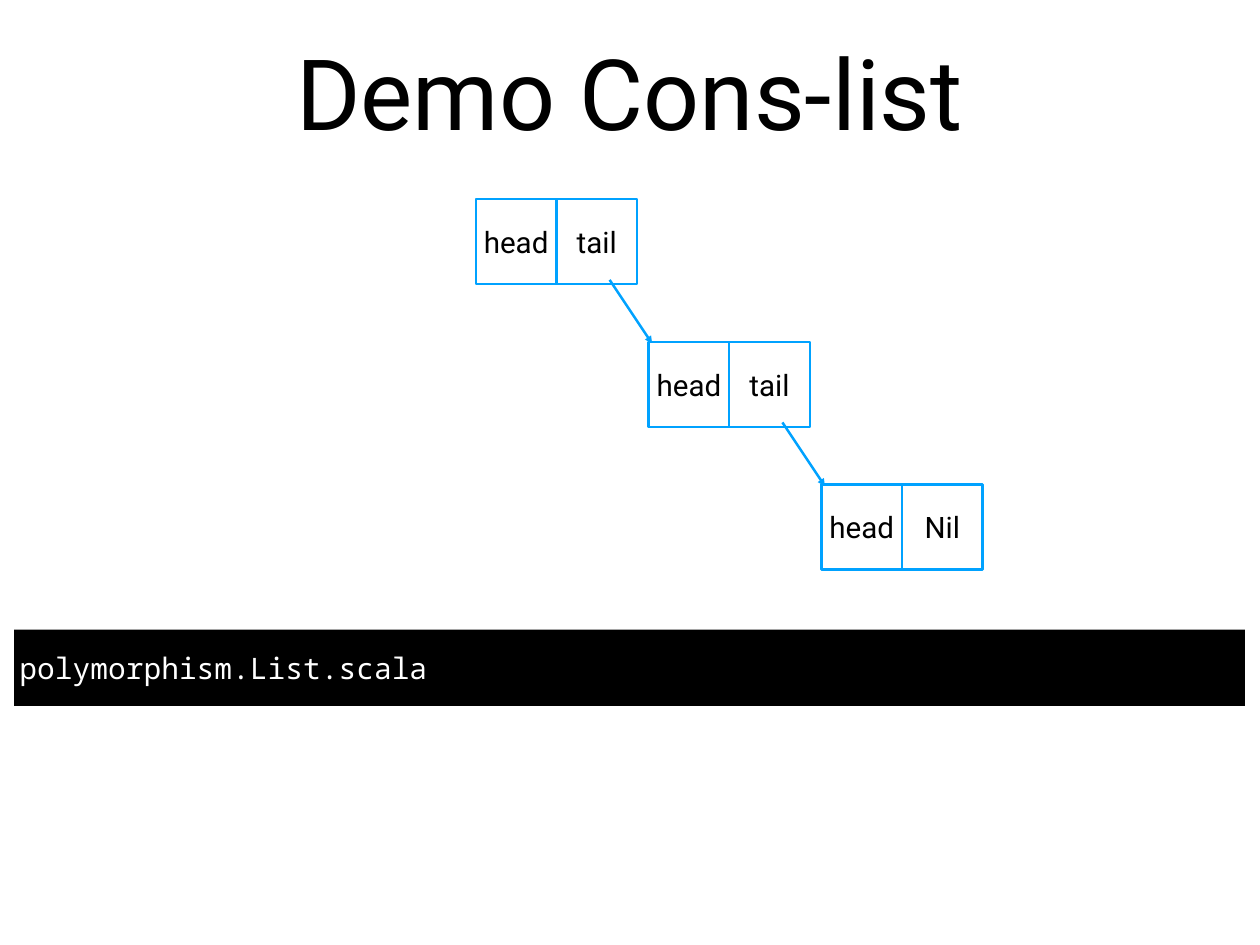
"""Build the slide that shows a cons-list as linked head and tail cells."""
import dataclasses

import lxml.etree
import pptx
import pptx.dml.color
import pptx.enum.shapes
import pptx.enum.text
import pptx.oxml.ns
import pptx.shapes.base
import pptx.slide
import pptx.util

Inches = pptx.util.Inches
RGBColor = pptx.dml.color.RGBColor
Align = pptx.enum.text.PP_ALIGN

BLACK = RGBColor(0x00, 0x00, 0x00)
WHITE = RGBColor(0xFF, 0xFF, 0xFF)
BLUE = RGBColor(0x00, 0xA2, 0xFF)

CELL_WIDTH, CELL_HEIGHT = 0.91, 0.96
FIRST_LEFT, FIRST_TOP = 5.37, 2.25
STEP_RIGHT, STEP_DOWN = 1.95, 1.61
LINE_WIDTH = 2


@dataclasses.dataclass(frozen=True)
class TextStyle:
    font: str
    size: int
    color: RGBColor
    alignment: Align


@dataclasses.dataclass(frozen=True)
class Box:
    left: float
    top: float
    width: float
    height: float


@dataclasses.dataclass(frozen=True)
class Node:
    head: str
    tail: str
    linked: bool


TITLE_STYLE = TextStyle("Roboto", 80, BLACK, Align.CENTER)
CELL_STYLE = TextStyle("Roboto", 24, BLACK, Align.CENTER)
CODE_STYLE = TextStyle("Noto Sans Mono", 24, WHITE, Align.LEFT)
NODES = (
    Node("head", "tail", True),
    Node("head", "tail", True),
    Node("head", "Nil", False),
)


def write_text(shape: pptx.shapes.base.BaseShape, text: str, style: TextStyle) -> None:
    frame = shape.text_frame
    frame.word_wrap = True
    frame.vertical_anchor = pptx.enum.text.MSO_ANCHOR.MIDDLE
    frame.margin_left = frame.margin_right = Inches(0.06)
    frame.margin_top = frame.margin_bottom = Inches(0.06)
    paragraph = frame.paragraphs[0]
    paragraph.alignment = style.alignment
    run = paragraph.add_run()
    run.text = text
    run.font.name = style.font
    run.font.size = pptx.util.Pt(style.size)
    run.font.color.rgb = style.color


def add_title(slide: pptx.slide.Slide, box: Box, text: str) -> None:
    title = slide.shapes.add_textbox(
        Inches(box.left), Inches(box.top), Inches(box.width), Inches(box.height)
    )
    write_text(title, text, TITLE_STYLE)


def add_rectangle(
    slide: pptx.slide.Slide,
    box: Box,
    text: str,
    style: TextStyle,
    fill: RGBColor,
    outline: RGBColor | None = None,
) -> None:
    shape = slide.shapes.add_shape(
        pptx.enum.shapes.MSO_SHAPE.RECTANGLE,
        Inches(box.left), Inches(box.top), Inches(box.width), Inches(box.height),
    )
    shape.shadow.inherit = False
    shape.fill.solid()
    shape.fill.fore_color.rgb = fill
    if outline is None:
        shape.line.fill.background()
    else:
        shape.line.color.rgb = outline
        shape.line.width = pptx.util.Pt(LINE_WIDTH)
    write_text(shape, text, style)


def add_arrow(slide: pptx.slide.Slide, left: float, top: float) -> None:
    arrow = slide.shapes.add_connector(
        pptx.enum.shapes.MSO_CONNECTOR.STRAIGHT,
        Inches(left + 1.51), Inches(top + 0.91),
        Inches(left + 1.99), Inches(top + 1.63),
    )
    arrow.line.color.rgb = BLUE
    arrow.line.width = pptx.util.Pt(LINE_WIDTH)
    qualified = pptx.oxml.ns.qn
    line = arrow.line._get_or_add_ln()
    lxml.etree.SubElement(line, qualified("a:tailEnd"), type="triangle")
    lxml.etree.SubElement(arrow._element.spPr, qualified("a:effectLst"))


def add_node(slide: pptx.slide.Slide, node: Node, left: float, top: float) -> None:
    for text, cell_left in ((node.tail, left + CELL_WIDTH), (node.head, left)):
        cell = Box(cell_left, top, CELL_WIDTH, CELL_HEIGHT)
        add_rectangle(slide, cell, text, CELL_STYLE, WHITE, BLUE)
    if node.linked:
        add_arrow(slide, left, top)


def main() -> None:
    presentation = pptx.Presentation()
    presentation.slide_width = Inches(14.22)
    presentation.slide_height = Inches(10.67)
    slide = presentation.slides.add_slide(presentation.slide_layouts[6])
    add_title(slide, Box(1.04, 0.28, 12.14, 1.49), "Demo Cons-list")
    code_bar = Box(0.16, 7.11, 13.89, 0.86)
    add_rectangle(slide, code_bar, "polymorphism.List.scala", CODE_STYLE, BLACK)
    for index, node in enumerate(NODES):
        left = FIRST_LEFT + index * STEP_RIGHT
        top = FIRST_TOP + index * STEP_DOWN
        add_node(slide, node, left, top)
    presentation.save("out.pptx")


if __name__ == "__main__":
    main()
